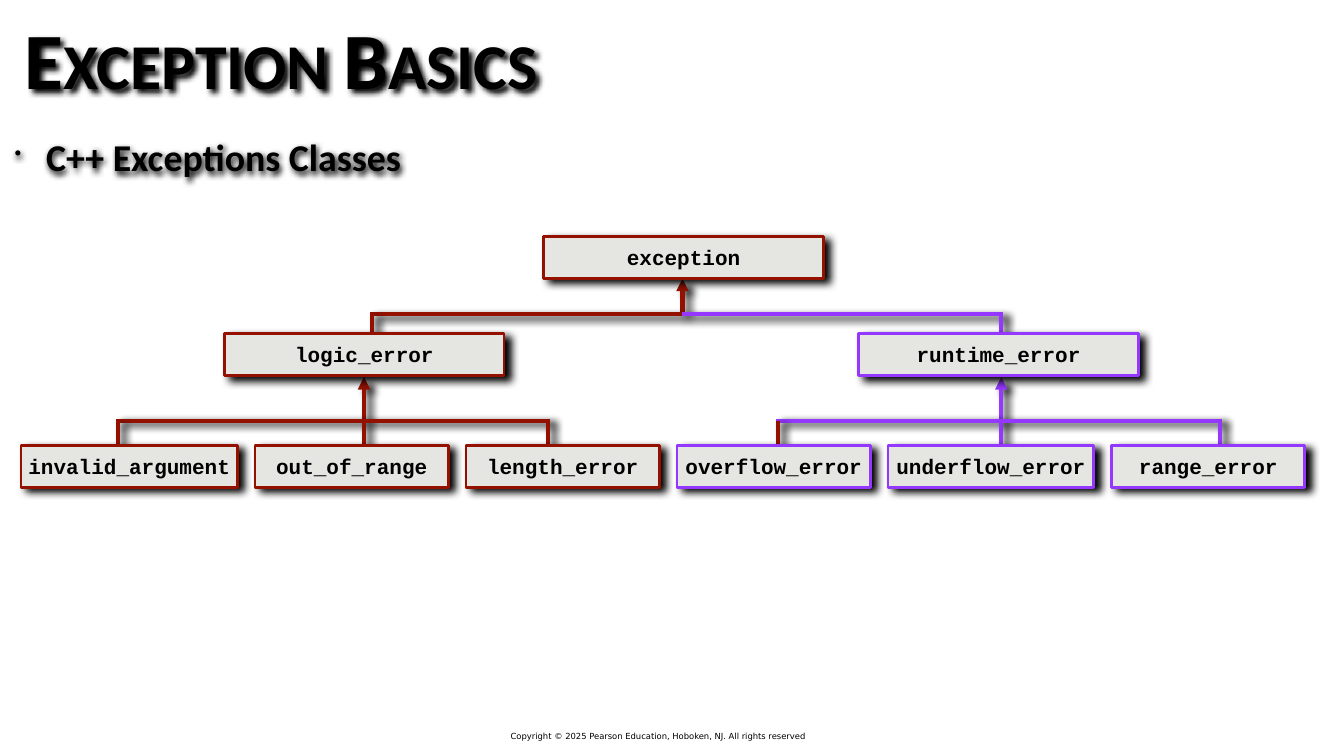
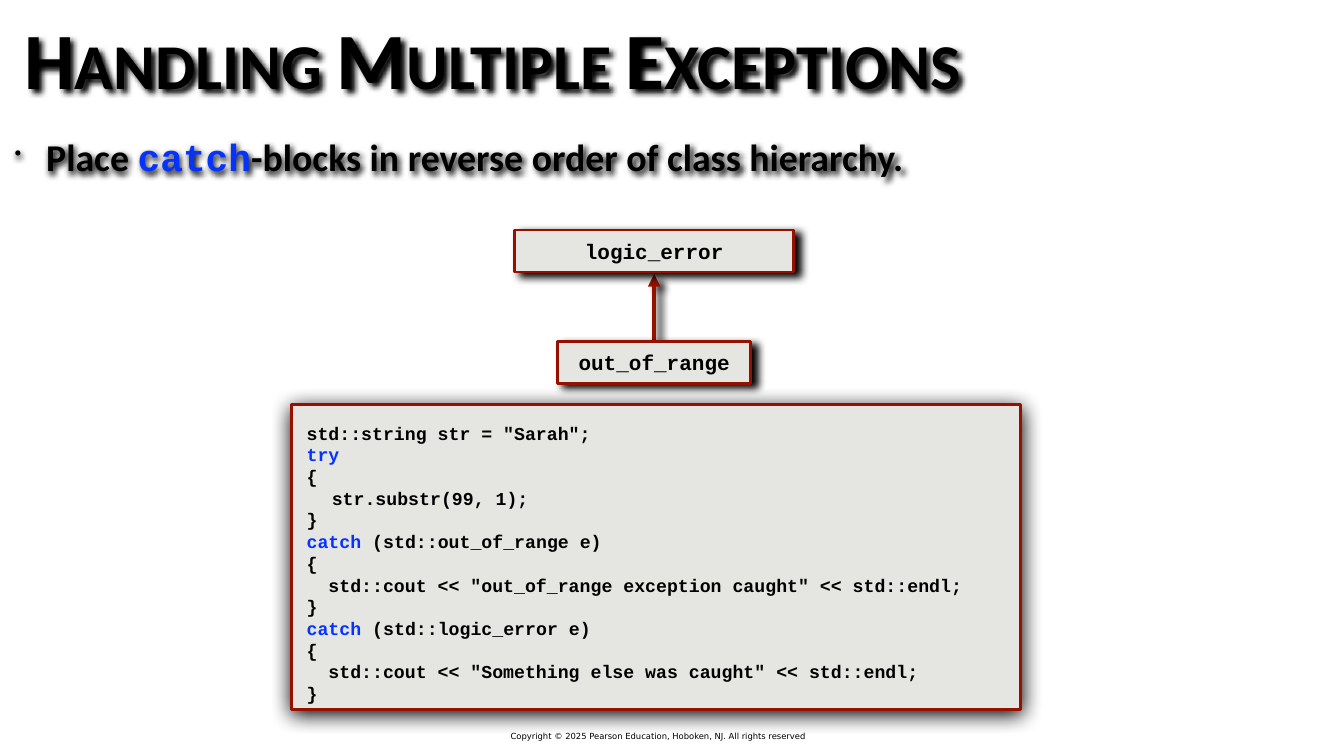
"""Build two slides on exception classes and the order of catch-blocks."""
from dataclasses import dataclass

from lxml.etree import SubElement as Sub
from pptx import Presentation
from pptx.dml.color import RGBColor as Rgb
from pptx.enum.shapes import MSO_CONNECTOR as Link, MSO_SHAPE as Form
from pptx.enum.text import MSO_ANCHOR as Anchor, MSO_AUTO_SIZE as Auto, PP_ALIGN as Align
from pptx.oxml.ns import qn
from pptx.util import Pt

HUES = {"ink": "000000", "red": "941100", "violet": "9437FF",
        "blue": "0433FF", "panel": "E5E6E1", "paper": "FFFFFF"}
SANS, MONO, SMALL = "Calibri", "Courier New", "DejaVu Sans"
PAD = 6
HIGH = 60
GAP = 25.4
NOTICE = "Copyright © 2025 Pearson Education, Hoboken, NJ. All rights reserved"
CODE = """std::string str = "Sarah";
try
{
\tstr.substr(99, 1);
}
catch (std::out_of_range e)
{
  std::cout << "out_of_range exception caught" << std::endl;
}
catch (std::logic_error e)
{
  std::cout << "Something else was caught" << std::endl;
}"""


@dataclass
class Shade:
    blur: float
    dist: float
    angle: float


@dataclass
class Run:
    text: str
    hue: str = ""
    face: str = ""


@dataclass
class Node:
    name: str
    x: float
    y: float
    wide: float
    hue: str = "red"


@dataclass
class Twig:
    x: float
    bar: str
    stem: str


@dataclass
class Branch:
    x: float
    tip: float
    bar: float
    foot: float
    hue: str
    twigs: list[Twig]


DROP = Shade(12, 10, 33)
GLOW = Shade(31, 6, 90)
HEAD = Shade(8, 5, 45)
SOFT = Shade(8, 3, 45)


def color(hue: str) -> Rgb:
    return Rgb.from_string(HUES[hue])


def shade(item, cast: Shade) -> None:
    props = item._element.spPr
    for old in props.findall(qn("a:effectLst")):
        props.remove(old)
    outer = Sub(Sub(props, qn("a:effectLst")), qn("a:outerShdw"),
                blurRad=str(Pt(cast.blur)), dist=str(Pt(cast.dist)),
                dir=str(int(cast.angle * 60000)), rotWithShape="0")
    Sub(outer, qn("a:srgbClr"), val=HUES["ink"])


def frame(item, pad: float = PAD, rise: float = PAD, anchor=Anchor.TOP):
    text = item.text_frame
    text.word_wrap = True
    text.auto_size = Auto.NONE
    text.vertical_anchor = anchor
    text.margin_left = text.margin_right = Pt(pad)
    text.margin_top = text.margin_bottom = Pt(rise)
    return text


def style(para, face: str, size: float, bold: bool = True) -> None:
    font = para.font
    font.name, font.size, font.bold = face, Pt(size), bold
    font.color.rgb = color("ink")


def write(para, runs: list[Run]) -> None:
    for part in runs:
        run = para.add_run()
        run.text = part.text
        if part.hue:
            run.font.color.rgb = color(part.hue)
        if part.face:
            run.font.name = part.face


def block(slide, x: float, y: float, wide: float, high: float):
    return slide.shapes.add_textbox(Pt(x), Pt(y), Pt(wide), Pt(high))


def panel(slide, x: float, y: float, wide: float, high: float, hue: str, cast: Shade):
    box = slide.shapes.add_shape(Form.RECTANGLE, Pt(x), Pt(y), Pt(wide), Pt(high))
    box.fill.solid()
    box.fill.fore_color.rgb = color("panel")
    box.line.color.rgb = color(hue)
    box.line.width = Pt(4)
    box.shadow.inherit = False
    shade(box, cast)
    return box


def draw_node(slide, node: Node) -> None:
    box = panel(slide, node.x, node.y, node.wide, HIGH, node.hue, DROP)
    para = frame(box, anchor=Anchor.MIDDLE).paragraphs[0]
    para.alignment = Align.CENTER
    style(para, MONO, 30)
    write(para, [Run(node.name)])


def draw_line(slide, x: float, y: float, to_x: float, to_y: float,
              hue: str, arrow: bool = False) -> None:
    line = slide.shapes.add_connector(Link.STRAIGHT, Pt(x), Pt(y), Pt(to_x), Pt(to_y))
    line.line.color.rgb = color(hue)
    line.line.width = Pt(6)
    if arrow:
        Sub(line.line._get_or_add_ln(), qn("a:headEnd"), type="triangle")
    shade(line, DROP)


def draw_branch(slide, branch: Branch) -> None:
    draw_line(slide, branch.x, branch.tip, branch.x, branch.bar, branch.hue, True)
    for twig in branch.twigs:
        if twig.x != branch.x:
            end = twig.x + (3 if twig.x > branch.x else -3)
            draw_line(slide, branch.x, branch.bar, end, branch.bar, twig.bar)
        draw_line(slide, twig.x, branch.bar, twig.x, branch.foot, twig.stem)


def start(deck, title: str, point: list[Run]):
    slide = deck.slides.add_slide(deck.slide_layouts[5])
    slide.background.fill.solid()
    slide.background.fill.fore_color.rgb = color("paper")

    head = slide.shapes.title
    head.left, head.top, head.width, head.height = Pt(29), Pt(0), Pt(1699), Pt(165)
    para = frame(head, anchor=Anchor.MIDDLE).paragraphs[0]
    para.alignment = Align.LEFT
    style(para, SANS, 114)
    para._p.get_or_add_pPr().get_or_add_defRPr().set("cap", "small")
    write(para, [Run(title)])
    shade(head, HEAD)

    body = block(slide, 15, 184.5, 1699, 80)
    para = frame(body).paragraphs[0]
    props = para._p.get_or_add_pPr()
    props.set("marL", str(Pt(45)))
    props.set("indent", str(Pt(-45)))
    Sub(props, qn("a:buSzPct"), val="53000")
    Sub(props, qn("a:buChar"), char="•")
    style(para, SANS, 54)
    write(para, point)
    shade(body, SOFT)

    foot = block(slide, 729.5, 1043, 487.5, 17.5)
    para = frame(foot, 0, 1.5, Anchor.MIDDLE).paragraphs[0]
    style(para, SMALL, 12, False)
    write(para, [Run(NOTICE)])
    return slide


def draw_code(slide) -> None:
    panel(slide, 417, 577.5, 1041, 436, "red", GLOW)
    text = frame(block(slide, 432, 597, 1071, 402))
    for at, line in enumerate(CODE.split("\n")):
        para = text.add_paragraph() if at else text.paragraphs[0]
        para.line_spacing = Pt(31)
        if line.startswith("\t"):
            para._p.get_or_add_pPr().set("indent", str(Pt(36)))
        style(para, MONO, 26)
        line = line.strip("\t")
        word, space, rest = line.partition(" ")
        if word in ("try", "catch"):
            parts = [Run(word + space, "blue"), Run(rest)]
            write(para, [part for part in parts if part.text])
        else:
            write(para, [Run(line)])


def build_tree(deck) -> None:
    slide = start(deck, "Exception Basics", [Run("C++ Exceptions Classes")])
    red, violet = "red", "violet"
    for branch in (
        Branch(975, 398, 448.5, 501, red,
               [Twig(531.5, red, red), Twig(1430.5, violet, violet)]),
        Branch(520, 538.5, 601, 655, red,
               [Twig(169, red, red), Twig(520, red, red), Twig(782.5, red, red)]),
        Branch(1430.5, 538.5, 601, 655, violet,
               [Twig(1111.5, violet, red), Twig(1430.5, violet, violet),
                Twig(1742.5, violet, violet)]),
    ):
        draw_branch(slide, branch)

    nodes = [Node("exception", 777, 337.5, 399),
             Node("logic_error", 321, 476.5, 399),
             Node("runtime_error", 1227, 476.5, 399, violet)]
    x = 30
    for name, wide, hue in (
        ("invalid_argument", 309, red), ("out_of_range", 276, red),
        ("length_error", 276, red), ("overflow_error", 276, violet),
        ("underflow_error", 294, violet), ("range_error", 276, violet),
    ):
        nodes.append(Node(name, x, 636, wide, hue))
        x += wide + GAP
    for node in nodes:
        draw_node(slide, node)


def build_order(deck) -> None:
    slide = start(deck, "Handling Multiple Exceptions", [
        Run("Place "), Run("catch", "blue", MONO),
        Run("-blocks in reverse order of class hierarchy.")])
    draw_code(slide)
    draw_line(slide, 934.5, 391.5, 934.5, 487, "red", True)
    draw_node(slide, Node("logic_error", 735, 328.5, 399))
    draw_node(slide, Node("out_of_range", 796.5, 487.5, 276))


def main() -> None:
    deck = Presentation()
    deck.slide_width, deck.slide_height = Pt(1920), Pt(1080)
    build_tree(deck)
    build_order(deck)
    deck.save("out.pptx")


if __name__ == "__main__":
    main()
